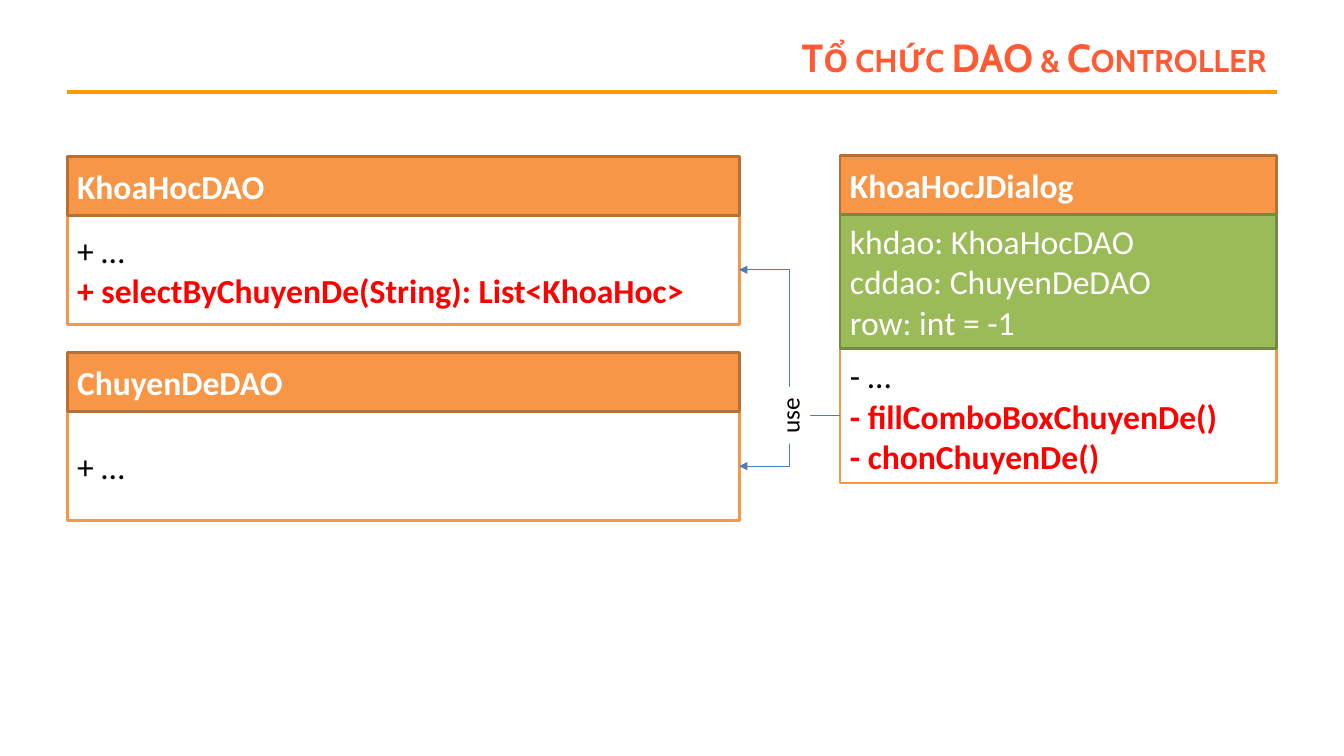
from lxml.etree import SubElement
from pptx import Presentation
from pptx.dml.color import RGBColor
from pptx.enum.shapes import MSO_CONNECTOR, MSO_SHAPE
from pptx.enum.text import MSO_ANCHOR, PP_ALIGN
from pptx.oxml.ns import qn
from pptx.util import Pt

PX = 9525
COLORS = {
    "rule": "FF9900", "title": "FF5A33", "white": "FFFFFF", "black": "000000",
    "red": "FF0000", "orange": "F79646", "orange_edge": "B76F34",
    "green": "9BBB59", "green_edge": "738A42", "arrow": "4B7EBC",
}
TITLE = {"name": "Cabin", "size": Pt(28), "bold": True}
HEADING = {"name": "Calibri", "size": Pt(24), "bold": True}
MEMBER = {"name": "Calibri", "size": Pt(24), "bold": False}
LABEL = {"name": "Calibri", "size": Pt(18), "bold": False}
HEADER_HEIGHT = 56


def rgb(name):
    return RGBColor.from_string(COLORS[name])


def px(*lengths):
    return [length * PX for length in lengths]


def write_lines(shape, lines, align=PP_ALIGN.LEFT):
    frame = shape.text_frame
    frame.vertical_anchor = MSO_ANCHOR.MIDDLE
    for index, (text, color, style) in enumerate(lines):
        paragraph = frame.add_paragraph() if index else frame.paragraphs[0]
        paragraph.alignment = align
        run = paragraph.add_run()
        run.text = text
        for attribute, value in style.items():
            setattr(run.font, attribute, value)
        run.font.color.rgb = rgb(color)


def add_line(slide, kind, begin, end, color, width):
    connector = slide.shapes.add_connector(kind, *px(*begin, *end))
    connector.line.color.rgb = rgb(color)
    connector.line.width = Pt(width)
    SubElement(connector._element.spPr, qn("a:effectLst"))
    return connector


def add_title(slide, left, top, width, height, text):
    rule_top = top + 59
    add_line(slide, MSO_CONNECTOR.STRAIGHT, (64, rule_top),
             (left + width, rule_top), "rule", 3)
    title = slide.shapes.add_textbox(*px(left, top, width, height))
    title.text_frame.word_wrap = True
    write_lines(title, [(text, "title", TITLE)], PP_ALIGN.RIGHT)
    title.text_frame.paragraphs[0].runs[0].font._element.set("cap", "small")


def add_compartment(slide, left, top, width, height, fill, edge, lines):
    shape = slide.shapes.add_shape(MSO_SHAPE.RECTANGLE, *px(left, top, width, height))
    shape.shadow.inherit = False
    shape.fill.solid()
    shape.fill.fore_color.rgb = rgb(fill)
    shape.line.color.rgb = rgb(edge)
    shape.line.width = Pt(2)
    shape.text_frame.word_wrap = True
    write_lines(shape, lines)
    return shape


def add_class(slide, left, top, width, name, methods, methods_height,
              fields=(), fields_height=0):
    fields_top = top + HEADER_HEIGHT
    body = add_compartment(
        slide, left, fields_top + fields_height, width, methods_height, "white", "orange",
        [(text, "red" if index else "black", HEADING if index else MEMBER)
         for index, text in enumerate(methods)])
    add_compartment(slide, left, top, width, HEADER_HEIGHT, "orange", "orange_edge",
                    [(name, "white", HEADING)])
    if fields:
        add_compartment(slide, left, fields_top, width, fields_height, "green",
                        "green_edge", [(text, "white", MEMBER) for text in fields])
    return body


def add_use_arrow(slide, user, used):
    begin = (user.left // PX, (user.top + user.height // 2) // PX)
    end = ((used.left + used.width) // PX, (used.top + used.height // 2) // PX)
    arrow = add_line(slide, MSO_CONNECTOR.ELBOW, begin, end, "arrow", 0.75)
    arrow.begin_connect(user, 1)
    arrow.end_connect(used, 3)
    SubElement(arrow.line._get_or_add_ln(), qn("a:tailEnd"), type="triangle")


def add_use_label(slide, left, top, width, height):
    label = slide.shapes.add_textbox(*px(left, top, width, height))
    label.rotation = 270
    label.fill.solid()
    label.fill.fore_color.rgb = rgb("white")
    label.text_frame.word_wrap = False
    write_lines(label, [("use", "black", LABEL)])


def build_class_slide(presentation):
    slide = presentation.slides.add_slide(presentation.slide_layouts[6])
    add_title(slide, 234, 29, 982, 51, "Tổ chức DAO & Controller")
    course_dao = add_class(
        slide, 64, 149, 640, "KhoaHocDAO",
        ["+ …", "+ selectByChuyenDe(String): List<KhoaHoc>"], 104)
    dialog = add_class(
        slide, 800, 148, 416, "KhoaHocJDialog",
        ["- …", "- fillComboBoxChuyenDe()", "- chonChuyenDe()"], 128,
        ["khdao: KhoaHocDAO", "cddao: ChuyenDeDAO", "row: int = -1"], 128)
    topic_dao = add_class(slide, 64, 336, 640, "ChuyenDeDAO", ["+ …"], 104)
    for used in (course_dao, topic_dao):
        add_use_arrow(slide, dialog, used)
    add_use_label(slide, 725, 376, 54, 39)


def main():
    presentation = Presentation()
    presentation.slide_width, presentation.slide_height = px(1280, 720)
    build_class_slide(presentation)
    presentation.save("out.pptx")


if __name__ == "__main__":
    main()
